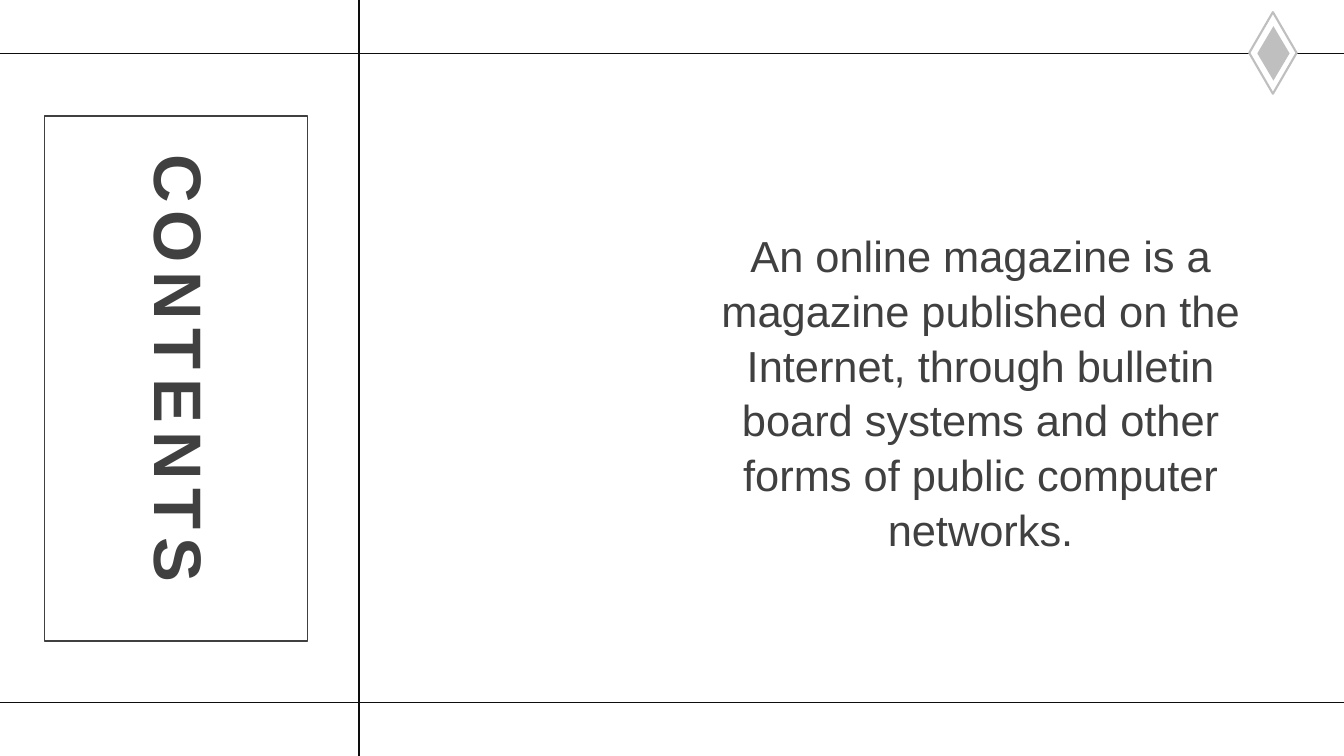
"""Build a contents slide with ruled margins, a vertical title and a paragraph."""
from lxml import etree
from pptx import Presentation
from pptx.dml.color import RGBColor
from pptx.enum.shapes import MSO_CONNECTOR, MSO_SHAPE
from pptx.enum.text import MSO_AUTO_SIZE, PP_ALIGN
from pptx.oxml.ns import qn
from pptx.util import Inches, Pt

BLACK = RGBColor(0x0D, 0x0D, 0x0D)
DARK_GRAY = RGBColor(0x40, 0x40, 0x40)
LIGHT_GRAY = RGBColor(0xBF, 0xBF, 0xBF)
WHITE = RGBColor(0xFF, 0xFF, 0xFF)
WIDTH, HEIGHT = 13.33, 7.5


def add_text(shapes, text, box, size):
    text_box = shapes.add_textbox(*map(Inches, box))
    frame = text_box.text_frame
    frame.word_wrap = True
    frame.auto_size = MSO_AUTO_SIZE.SHAPE_TO_FIT_TEXT
    paragraph = frame.paragraphs[0]
    paragraph.text = text
    paragraph.alignment = PP_ALIGN.CENTER
    paragraph.font.name = "Arial"
    paragraph.font.size = Pt(size)
    paragraph.font.color.rgb = DARK_GRAY
    return text_box


def add_outline(shapes, kind, box, fill=None, line=None, weight=0):
    shape = shapes.add_shape(kind, *map(Inches, box))
    shape.shadow.inherit = False
    if fill is None:
        shape.fill.background()
    else:
        shape.fill.solid()
        shape.fill.fore_color.rgb = fill
    if line is None:
        shape.line.fill.background()
    else:
        shape.line.color.rgb = line
        shape.line.width = Pt(weight)
    return shape


presentation = Presentation()
presentation.slide_width = Inches(WIDTH)
presentation.slide_height = Inches(HEIGHT)
slide = presentation.slides.add_slide(presentation.slide_layouts[6])
shapes = slide.shapes

rules = [(0, 6.97, WIDTH, 6.97), (0, 0.53, WIDTH, 0.53), (3.56, 0, 3.56, HEIGHT)]
for ends in rules:
    rule = shapes.add_connector(MSO_CONNECTOR.STRAIGHT, *map(Inches, ends))
    rule.line.color.rgb = BLACK
    rule.line.width = Pt(1.25)
    etree.SubElement(rule._element.spPr, qn("a:effectLst"))

title = add_text(shapes, "CONTENTS", (1.24, 1.43, 1.01, 4.64), 48)
title.text_frame._txBody.bodyPr.set("vert", "eaVert")
title_paragraph = title.text_frame.paragraphs[0]
title_paragraph.font.bold = True
title_paragraph.runs[0]._r.get_or_add_rPr().set("spc", "600")

add_outline(shapes, MSO_SHAPE.RECTANGLE, (0.44, 1.15, 2.61, 5.21),
            line=DARK_GRAY, weight=1.25)

description = add_text(
    shapes,
    "An online magazine is a magazine published on the Internet, through "
    "bulletin board systems and other forms of public computer networks.",
    (6.82, 2.2, 5.81, 3.18), 31)
description.text_frame.paragraphs[0].line_spacing = 1.05

triangle = add_outline(shapes, MSO_SHAPE.RIGHT_TRIANGLE,
                       (6.29, 2.59, 0.75, 1.02), fill=WHITE)
triangle._element.spPr.xfrm.set("flipH", "1")

ornament = shapes.add_group_shape()
add_outline(ornament.shapes, MSO_SHAPE.DIAMOND, (12.39, 0.12, 0.47, 0.81),
            fill=WHITE, line=LIGHT_GRAY, weight=1.5)
add_outline(ornament.shapes, MSO_SHAPE.DIAMOND, (12.47, 0.26, 0.32, 0.54),
            fill=LIGHT_GRAY)

presentation.save("out.pptx")
